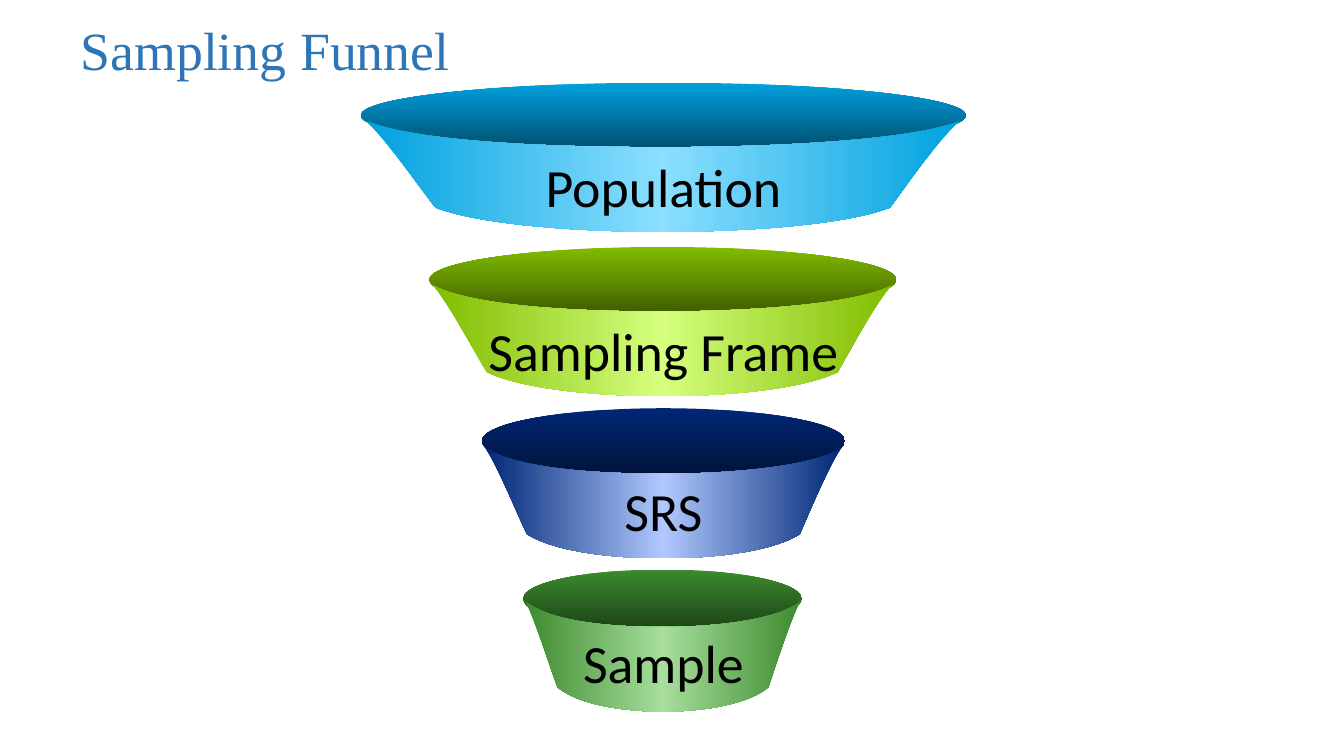
from copy import deepcopy
from dataclasses import dataclass

from lxml import etree
from pptx import Presentation
from pptx.dml.color import RGBColor
from pptx.enum import shapes, text
from pptx.oxml import ns
from pptx.util import Inches, Pt


@dataclass(frozen=True)
class Theme:
    title_font: str = "Times New Roman"
    label_font: str = "Calibri"
    size: float = 38.4
    title_color: str = "2E75B5"
    label_color: str = "000000"
    # Base, dark and light shade of each stage
    blue: tuple = ("00A1DE", "00506F", "8BDFFF")
    lime: tuple = ("81BC00", "405E00", "D5FF7E")
    navy: tuple = ("002776", "00133B", "B0C8FE")
    green: tuple = ("3C8A2E", "1D4516", "A7DE9C")


theme = Theme()

# Label, shades, rim (left, top, width, height), band (left, top, width), label top
STAGES = [
    ("Population", theme.blue, (3.58, 0.82, 6.0, 0.65), (3.61, 1.19, 5.93), 1.52),
    ("Sampling Frame", theme.lime, (4.26, 2.45, 4.63, 0.65), (4.28, 2.82, 4.58), 3.15),
    ("SRS", theme.navy, (4.78, 4.05, 3.6, 0.65), (4.8, 4.43, 3.56), 4.73),
    ("Sample", theme.green, (5.19, 5.65, 2.76, 0.58), (5.2, 5.95, 2.75), 6.24),
]

# Band outline, three Bezier points a row:
# x as a share of the band's width, y in inches below its top
BAND_START = (1, 0)
BAND_CURVES = [
    (0.97, 0.11), (0.9, 0.71), (0.88, 0.87),
    (0.8, 1.05), (0.63, 1.11), (0.5, 1.11),
    (0.37, 1.11), (0.2, 1.05), (0.12, 0.87),
    (0.1, 0.73), (0.03, 0.12), (0, 0),
    (0.09, 0.23), (0.33, 0.27), (0.5, 0.27),
    (0.67, 0.27), (0.92, 0.21), (1, 0),
]


def paint_gradient(shape, colors, angle):
    """Fill with evenly spaced stops, without line or shadow."""
    shape.shadow.inherit = False
    shape.line.fill.background()
    shape.fill.gradient()
    shape.fill.gradient_angle = angle
    stop_list = shape._element.spPr.find(ns.qn("a:gradFill")).find(ns.qn("a:gsLst"))
    while len(stop_list) < len(colors):
        stop_list.insert(1, deepcopy(stop_list[0]))
    for i, (stop, color) in enumerate(zip(shape.fill.gradient_stops, colors)):
        stop.position = i / (len(colors) - 1)
        stop.color.rgb = RGBColor.from_string(color)


def write(frame, words, font, color, align):
    frame.text = words
    frame.word_wrap = True
    frame.vertical_anchor = text.MSO_ANCHOR.MIDDLE
    paragraph = frame.paragraphs[0]
    paragraph.alignment = align
    run = paragraph.runs[0]
    run.font.name = font
    run.font.size = Pt(theme.size)
    run.font.color.rgb = RGBColor.from_string(color)


prs = Presentation()
prs.slide_width, prs.slide_height = Inches(13.33), Inches(7.5)
slide = prs.slides.add_slide(prs.slide_layouts[5])

title = slide.shapes.title
title.left, title.top = Inches(0.68), Inches(0.01)
title.width, title.height = Inches(10.8), Inches(0.96)
title_frame = title.text_frame
title_frame.margin_left = title_frame.margin_right = Inches(0.12)
title_frame.margin_top = title_frame.margin_bottom = Inches(0.06)
title_frame.auto_size = text.MSO_AUTO_SIZE.NONE
write(title_frame, "Sampling Funnel", theme.title_font, theme.title_color,
      text.PP_ALIGN.LEFT)

for _, (base, dark, _), rim_box, _, _ in reversed(STAGES):
    rim = slide.shapes.add_shape(shapes.MSO_SHAPE.OVAL, *map(Inches, rim_box))
    paint_gradient(rim, (base, dark), 270)

for _, (base, _, light), _, (left, top, width), _ in STAGES:
    start, *points = [(Inches(left + x * width), Inches(top + y))
                      for x, y in [BAND_START, *BAND_CURVES]]
    builder = slide.shapes.build_freeform(*start)
    builder.add_line_segments(points, close=True)
    band = builder.convert_to_shape()
    paint_gradient(band, (base, light, base), 0)

    # Turn every three straight segments into one Bezier curve
    segments = list(band._element.iter(ns.qn("a:lnTo")))[:len(points)]
    for i in range(0, len(segments), 3):
        curve = etree.Element(ns.qn("a:cubicBezTo"))
        segments[i].addprevious(curve)
        for segment in segments[i:i + 3]:
            curve.append(segment[0])
            segment.getparent().remove(segment)

for label, _, _, _, label_top in STAGES:
    caption = slide.shapes.add_textbox(
        Inches(4.68), Inches(label_top), Inches(3.8), Inches(0.65))
    frame = caption.text_frame
    frame.margin_left = frame.margin_right = 0
    frame.margin_top = frame.margin_bottom = 0
    frame.auto_size = text.MSO_AUTO_SIZE.SHAPE_TO_FIT_TEXT
    write(frame, label, theme.label_font, theme.label_color, text.PP_ALIGN.CENTER)

prs.save("out.pptx")
